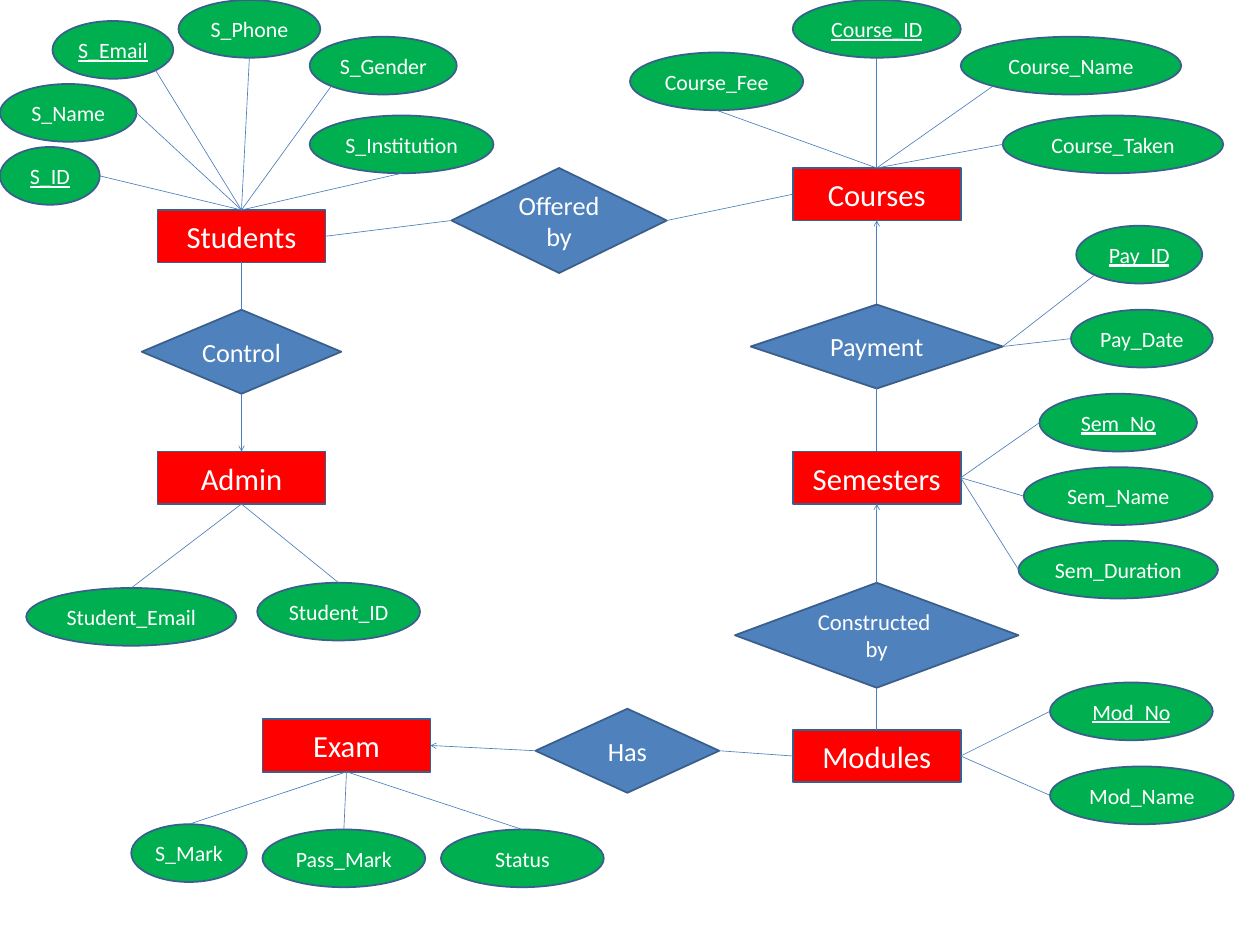
from pptx import Presentation
from pptx.dml.color import RGBColor as RGB
from pptx.enum.shapes import MSO_CONNECTOR as CXN, MSO_SHAPE as SHAPE
from pptx.enum.text import MSO_ANCHOR as ANCHOR, PP_ALIGN as ALIGN
from pptx.oxml.ns import qn
from pptx.util import Pt
from lxml import etree
from dataclasses import dataclass

PX = 9525


@dataclass(frozen=True)
class Theme:
    font: str = "Calibri"
    entity: str = "FF0000"
    relation: str = "4F81BD"
    attribute: str = "00B050"
    outline: str = "3A5F8C"
    link: str = "4B7EBC"
    text: str = "FFFFFF"
    entity_size: int = 35
    relation_size: int = 30
    long_relation_size: int = 26
    attribute_size: int = 25
    outline_width: float = 2
    link_width: float = 0.75


theme = Theme()
TOP, LEFT, BOTTOM, RIGHT = range(4)
ENTITY_W, ENTITY_H, ATTRIBUTE_H = 256, 80, 88
DIAGONAL = 0.5 ** 0.5
RIM = {"top": (0, -1), "left": (-1, 0), "bottom": (0, 1), "right": (1, 0),
       "bottom left": (-DIAGONAL, DIAGONAL), "bottom right": (DIAGONAL, DIAGONAL)}

prs = Presentation()
prs.slide_width, prs.slide_height = 1920 * PX, 1440 * PX
slide = prs.slides.add_slide(prs.slide_layouts[6])


def add_node(kind, text, box, fill, size, inset, underline=False):
    s = slide.shapes.add_shape(kind, *[v * PX for v in box])
    s.shadow.inherit = False
    s.fill.solid()
    s.fill.fore_color.rgb = RGB.from_string(fill)
    s.line.color.rgb = RGB.from_string(theme.outline)
    s.line.width = Pt(theme.outline_width)
    tf = s.text_frame
    tf.text = text
    tf.vertical_anchor = ANCHOR.MIDDLE
    tf.margin_left = tf.margin_right = inset * 2 * PX
    tf.margin_top = tf.margin_bottom = inset * PX
    for p in tf.paragraphs:
        p.alignment = ALIGN.CENTER
        for r in p.runs:
            r.font.name = theme.font
            r.font.size = Pt(size)
            r.font.color.rgb = RGB.from_string(theme.text)
            if underline:
                r.font.underline = True
    return s


def add_link(node, site, end=(0, 0)):
    c = slide.shapes.add_connector(CXN.STRAIGHT, 0, 0, *end)
    c.begin_connect(node, site)
    c.line.color.rgb = RGB.from_string(theme.link)
    c.line.width = Pt(theme.link_width)
    etree.SubElement(c._element.spPr, qn("a:effectLst"))
    return c


entities = [
    ("Students", 240, 320), ("Admin", 240, 688), ("Courses", 1208, 256),
    ("Semesters", 1208, 688), ("Modules", 1208, 1112), ("Exam", 400, 1096),
]
relations = [
    ("Offered", "Offered \nby", (688, 256, 328, 160), theme.relation_size),
    ("Control", "Control", (216, 472, 304, 128), theme.relation_size),
    ("Payment", "Payment", (1144, 464, 384, 128), theme.relation_size),
    ("Constructed", "Constructed \nby", (1120, 888, 432, 160), theme.long_relation_size),
    ("Has", "Has", (816, 1080, 280, 128), theme.relation_size),
]
attributes = {
    ("Students", TOP): [
        ("S_ID", 0, 224, 152, "right", True),
        ("S_Name", 0, 128, 208, "right", False),
        ("S_Email", 80, 32, 184, "bottom right", True),
        ("S_Phone", 272, 0, 216, "bottom", False),
        ("S_Gender", 472, 56, 224, "bottom left", False),
        ("S_Institution", 472, 176, 280, "bottom", False),
    ],
    ("Courses", TOP): [
        ("Course_Fee", 960, 80, 264, "bottom", False),
        ("Course_ID", 1208, 0, 256, "bottom", True),
        ("Course_Name", 1464, 56, 336, "bottom left", False),
        ("Course_Taken", 1528, 176, 336, "left", False),
    ],
    ("Payment", RIGHT): [
        ("Pay_ID", 1640, 344, 192, "bottom left", True),
        ("Pay_Date", 1632, 472, 216, "left", False),
    ],
    ("Semesters", RIGHT): [
        ("Sem_No", 1584, 600, 240, "left", True),
        ("Sem_Name", 1560, 712, 288, "left", False),
        ("Sem_Duration", 1552, 824, 304, "left", False),
    ],
    ("Modules", RIGHT): [
        ("Mod_No", 1600, 1040, 248, "left", True),
        ("Mod_Name", 1600, 1168, 280, "left", False),
    ],
    ("Admin", BOTTOM): [
        ("Student_Email", 40, 896, 320, "top", False),
        ("Student_ID", 392, 888, 248, "top", False),
    ],
    ("Exam", BOTTOM): [
        ("S_Mark", 200, 1256, 176, "top", False),
        ("Pass_Mark", 400, 1264, 248, "top", False),
        ("Status", 672, 1264, 248, "top", False),
    ],
}
relation_links = [
    ("Students", RIGHT, "Offered", LEFT, False),
    ("Offered", RIGHT, "Courses", LEFT, False),
    ("Students", BOTTOM, "Control", TOP, False),
    ("Control", BOTTOM, "Admin", TOP, True),
    ("Payment", TOP, "Courses", BOTTOM, True),
    ("Payment", BOTTOM, "Semesters", TOP, False),
    ("Constructed", TOP, "Semesters", BOTTOM, True),
    ("Constructed", BOTTOM, "Modules", TOP, False),
    ("Has", LEFT, "Exam", RIGHT, True),
    ("Has", RIGHT, "Modules", LEFT, False),
]

nodes = {}
for name, x, y in entities:
    nodes[name] = add_node(SHAPE.RECTANGLE, name, (x, y, ENTITY_W, ENTITY_H),
                           theme.entity, theme.entity_size, 8)

for name, text, box, size in relations:
    nodes[name] = add_node(SHAPE.FLOWCHART_DECISION, text, box, theme.relation, size, 8)

for (owner, site), ovals in attributes.items():
    for name, x, y, w, rim, is_key in ovals:
        s = add_node(SHAPE.OVAL, name, (x, y, w, ATTRIBUTE_H),
                     theme.attribute, theme.attribute_size, 5, is_key)
        dx, dy = RIM[rim]
        end = (int(s.left + s.width * (1 + dx) / 2), int(s.top + s.height * (1 + dy) / 2))
        add_link(nodes[owner], site, end)

for start, start_site, finish, finish_site, has_arrow in relation_links:
    c = add_link(nodes[start], start_site)
    c.end_connect(nodes[finish], finish_site)
    if has_arrow:
        etree.SubElement(c.line._get_or_add_ln(), qn("a:tailEnd"), type="arrow")

prs.save("out.pptx")
